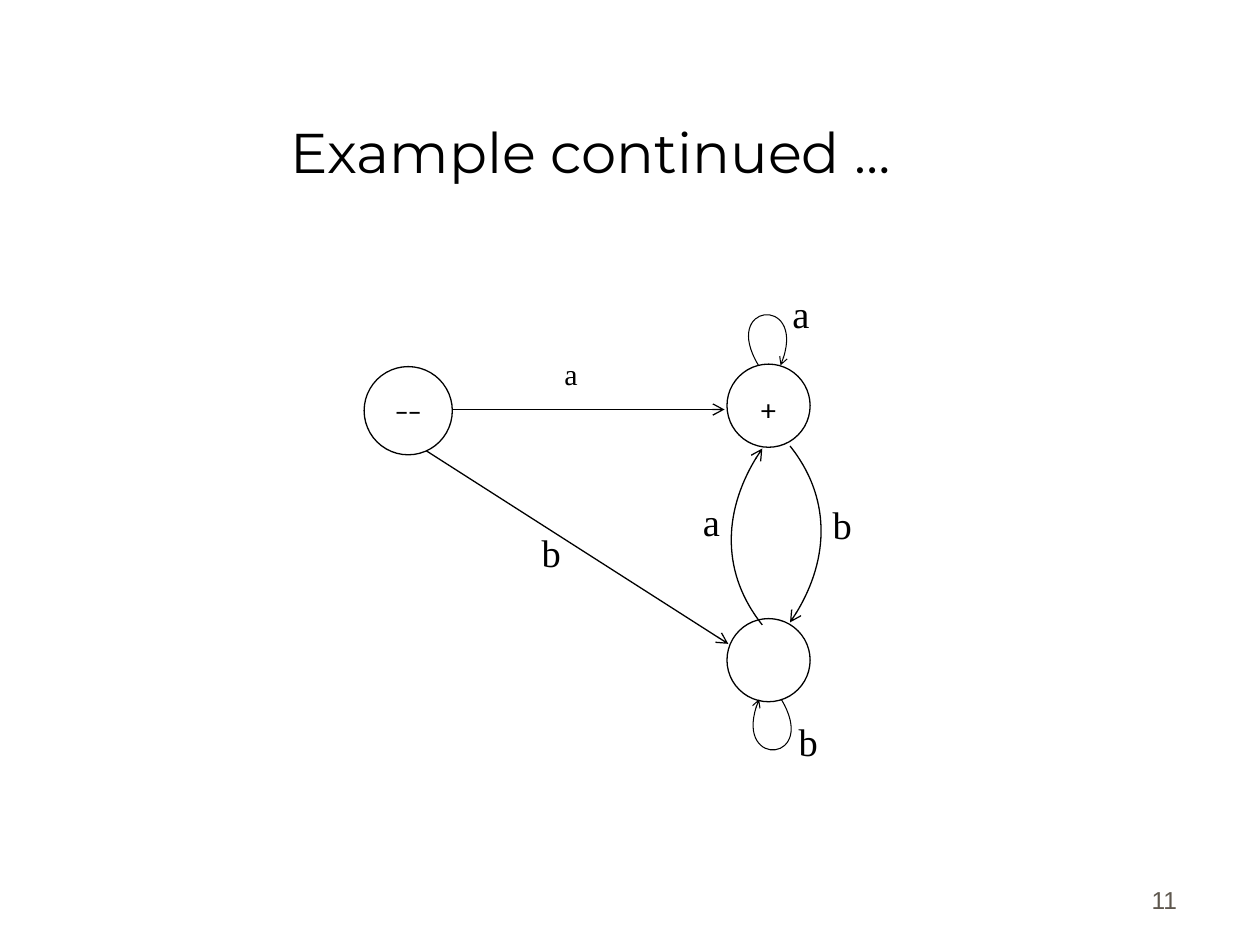
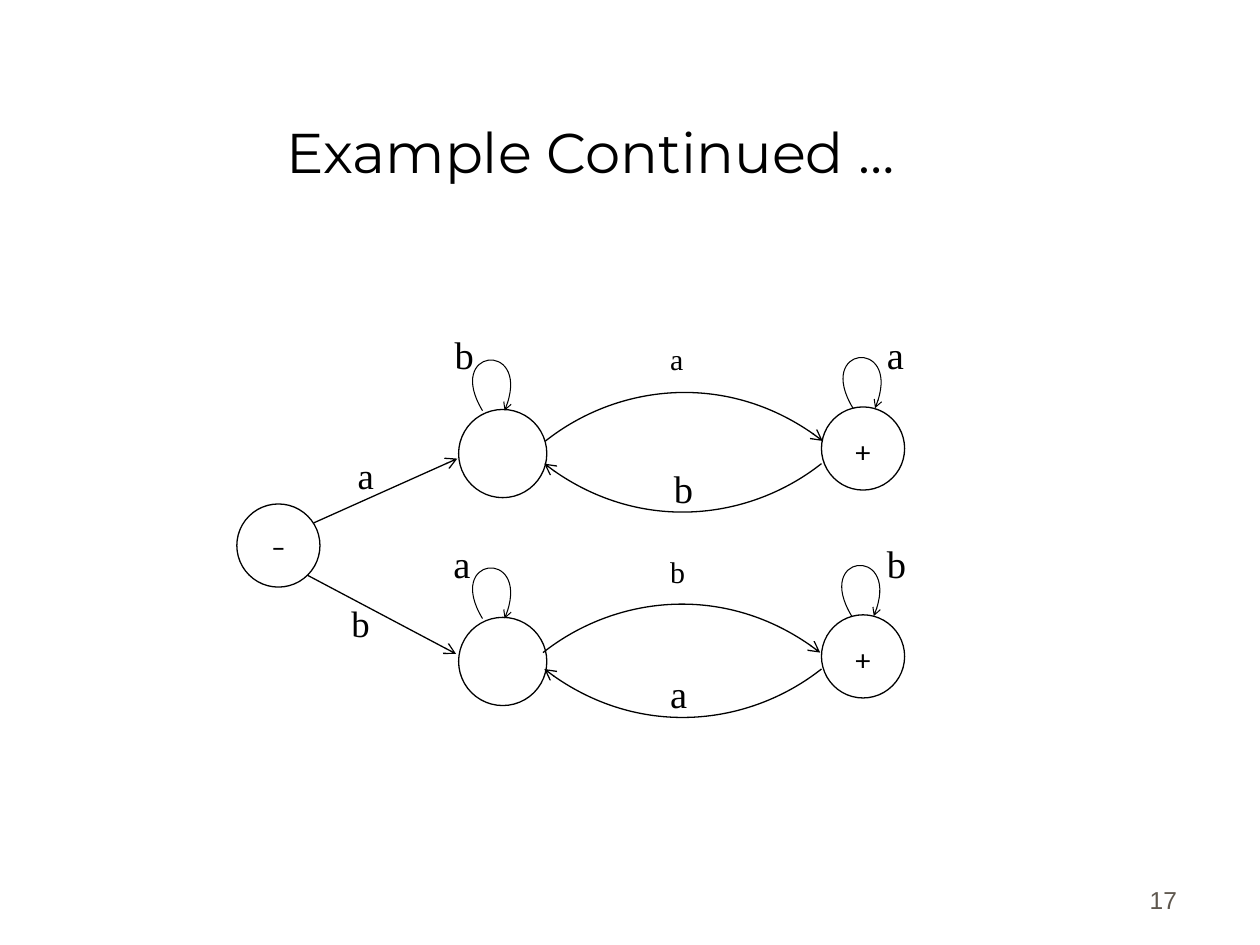
"""Draw two finite automata on title-only slides."""
from dataclasses import dataclass

from lxml.etree import SubElement
from pptx import Presentation
from pptx.dml.color import RGBColor
from pptx.enum.shapes import MSO_CONNECTOR, MSO_SHAPE
from pptx.enum.text import MSO_ANCHOR, MSO_AUTO_SIZE, PP_ALIGN
from pptx.oxml.ns import qn
from pptx.util import Inches, Pt


@dataclass(frozen=True)
class Theme:
    """Colours, fonts, type sizes and line widths."""
    ink: RGBColor = RGBColor(0, 0, 0)
    paper: RGBColor = RGBColor(255, 255, 255)
    muted: RGBColor = RGBColor(0x5E, 0x57, 0x4E)
    head: str = "Montserrat"
    serif: str = "Times New Roman"
    sign: str = "Karla"
    plain: str = "Arial"
    title: float = 32
    label: float = 22
    branch: float = 21
    small: float = 17.1
    state: float = 16
    number: float = 14
    line: float = 0.75
    thin: float = 0.6


@dataclass(frozen=True)
class Arrow:
    """A straight edge between two grid points."""
    start: tuple[float, float]
    end: tuple[float, float]


@dataclass(frozen=True)
class State:
    """A circle with its grid corner, size and sign."""
    col: float
    row: float
    size: float = 6.6
    sign: str = ""


@dataclass(frozen=True)
class Bend:
    """The offsets of a curved edge from its start."""
    steps: tuple[tuple[float, float], ...]
    width: float
    tip: str = "med"


@dataclass(frozen=True)
class Curve:
    """A bend placed on the grid; turn -1 rotates it by half a circle."""
    bend: Bend
    col: float
    row: float
    turn: int = 1


@dataclass(frozen=True)
class Label:
    """The letter of an edge."""
    text: str
    col: float
    row: float
    width: float = 9.8
    height: float = 6.7
    size: float = 22
    spacing: float = 1


@dataclass(frozen=True)
class Graph:
    """All that one slide shows."""
    title: str
    number: str
    arrows: list[Arrow]
    states: list[State]
    curves: list[Curve]
    labels: list[Label]


THEME = Theme()
CELL = Inches(0.1)
COLS, ROWS = 100, 75
LOOP = Bend(((-3, -4.95), (4.1, -5.6), (1.75, 0)), THEME.thin, "sm")
ARCH = Bend(((5.7, -4.5), (14.8, -5.6), (22, 0)), THEME.line)
BOW = Bend(((3.2, 4), (3.2, 9.4), (0, 14)), THEME.line)


def small(text: str, col: float, row: float) -> Label:
    """Return a label in the smaller size."""
    return Label(text, col, row, 4.1, 4, THEME.small, 0.8)


GRAPHS = [
    Graph(
        "Example continued …", "11",
        [Arrow((33.4, 35.5), (57.8, 51.1)), Arrow((35.4, 32.5), (57.5, 32.5))],
        [State(57.7, 28.9, sign="+"), State(57.7, 49.1), State(28.9, 29.1, 7, "––")],
        [Curve(LOOP, 60.2, 29), Curve(LOOP, 62, 55.5, -1),
         Curve(BOW, 62.7, 35.4), Curve(BOW, 60.5, 49.6, -1)],
        [Label("a", 61.9, 22.5), Label("b", 42, 41.5, 6.8, 5.8),
         Label("b", 62.4, 56.5, 6.5, 5), Label("b", 65.1, 39.3, 4.9, 5),
         Label("a", 54.8, 39), small("a", 43.8, 28.3)],
    ),
    Graph(
        "Example Continued …", "17",
        [Arrow((24.9, 41.5), (36.3, 36.4)), Arrow((24.3, 45.6), (36.2, 51.9))],
        [State(18.8, 40, sign="–"), State(36.4, 32.5, 7), State(36.4, 49, 7),
         State(65.2, 32.3, sign="+"), State(65.2, 48.8, sign="+")],
        [Curve(LOOP, 38.3, 32.6), Curve(LOOP, 67.7, 32.4),
         Curve(LOOP, 38.3, 49.1), Curve(LOOP, 67.6, 48.9),
         Curve(ARCH, 43.3, 35), Curve(ARCH, 65.2, 36.8, -1),
         Curve(ARCH, 43.1, 51.8), Curve(ARCH, 65.2, 53.1, -1)],
        [Label("a", 27.4, 35.4, 7, 7.1, THEME.branch),
         Label("b", 26.9, 47.2, 7, 5.3, THEME.branch),
         Label("b", 35.1, 25.8), Label("a", 69.4, 25.8),
         Label("a", 35, 42.4), Label("b", 69.4, 42.4),
         small("a", 52.2, 27.1), Label("b", 52.5, 36.4, 4.9, 5),
         small("b", 52.2, 44), Label("a", 52.2, 52.7, 4.9, 5)],
    ),
]


def grid(*cells: float) -> list[int]:
    """Turn grid cells into slide lengths."""
    return [round(cell * CELL) for cell in cells]


def write(frame, text: str, *, size: float, font: str = THEME.serif,
          color: RGBColor = THEME.ink, align=PP_ALIGN.LEFT,
          anchor=MSO_ANCHOR.TOP, pad: tuple[float, float, float] = (1, 0.5, 0.5),
          spacing: float = 1) -> None:
    """Fill a text frame; pad gives the side, top and bottom insets in cells."""
    frame.word_wrap = True
    frame.auto_size = MSO_AUTO_SIZE.NONE
    frame.vertical_anchor = anchor
    side, frame.margin_top, frame.margin_bottom = grid(*pad)
    frame.margin_left = frame.margin_right = side
    para = frame.paragraphs[0]
    para.alignment = align
    para.line_spacing = spacing
    run = para.add_run()
    run.text = text
    run.font.size = Pt(size)
    run.font.name = font
    run.font.color.rgb = color


def stroke(shape, width: float, tip: str = "") -> None:
    """Ink an outline without shadow, with an open arrowhead if tip is given."""
    shape.line.color.rgb = THEME.ink
    shape.line.width = Pt(width)
    props = shape.element.spPr
    if tip:
        SubElement(props.find(qn("a:ln")), qn("a:tailEnd"), type="arrow", w=tip, len=tip)
    SubElement(props, qn("a:effectLst"))


def link(slide, arrow: Arrow) -> None:
    """Draw a straight edge."""
    ends = grid(*arrow.start, *arrow.end)
    stroke(slide.shapes.add_connector(MSO_CONNECTOR.STRAIGHT, *ends), THEME.line, "med")


def ring(slide, state: State) -> None:
    """Draw a state with its sign."""
    box = grid(state.col, state.row, state.size, state.size)
    shape = slide.shapes.add_shape(MSO_SHAPE.OVAL, *box)
    shape.fill.solid()
    shape.fill.fore_color.rgb = THEME.paper
    stroke(shape, THEME.line)
    if state.sign:
        write(shape.text_frame, state.sign, size=THEME.state, font=THEME.sign,
              align=PP_ALIGN.CENTER, pad=(0, 1.1, 0))


def sweep(slide, curve: Curve) -> None:
    """Draw a curved edge as one cubic segment."""
    points = [grid(curve.col + curve.turn * dx, curve.row + curve.turn * dy)
              for dx, dy in curve.bend.steps]
    pen = slide.shapes.build_freeform(*grid(curve.col, curve.row), scale=1.0)
    shape = pen.add_line_segments(points, close=False).convert_to_shape()
    track = shape.element.find(".//" + qn("a:path"))
    legs = track.findall(qn("a:lnTo"))
    cubic = SubElement(track, qn("a:cubicBezTo"))
    for leg in legs:
        cubic.append(leg[0])
        track.remove(leg)
    shape.fill.background()
    stroke(shape, curve.bend.width, curve.bend.tip)


def tag(slide, label: Label) -> None:
    """Place the letter of an edge."""
    box = grid(label.col, label.row, label.width, label.height)
    write(slide.shapes.add_textbox(*box).text_frame, label.text,
          size=label.size, spacing=label.spacing)


def frame(slide, graph: Graph) -> None:
    """Set the title and the slide number."""
    title = slide.shapes.title
    title.left, title.top, title.width, title.height = grid(4.4, 2.5, 85, 12.5)
    write(title.text_frame, graph.title, size=THEME.title, font=THEME.head,
          align=PP_ALIGN.CENTER, anchor=MSO_ANCHOR.BOTTOM, pad=(1, 0.5, 0.3))
    foot = slide.shapes.add_textbox(*grid(73.6, 68.1, 20.8, 5))
    write(foot.text_frame, graph.number, size=THEME.number, font=THEME.plain,
          color=THEME.muted, align=PP_ALIGN.RIGHT, anchor=MSO_ANCHOR.BOTTOM)


def main() -> None:
    """Build and save the deck."""
    deck = Presentation()
    deck.slide_width, deck.slide_height = grid(COLS, ROWS)
    for graph in GRAPHS:
        slide = deck.slides.add_slide(deck.slide_layouts[5])
        frame(slide, graph)
        for draw, items in ((link, graph.arrows), (ring, graph.states),
                            (sweep, graph.curves), (tag, graph.labels)):
            for item in items:
                draw(slide, item)
    deck.save("out.pptx")


if __name__ == "__main__":
    main()
